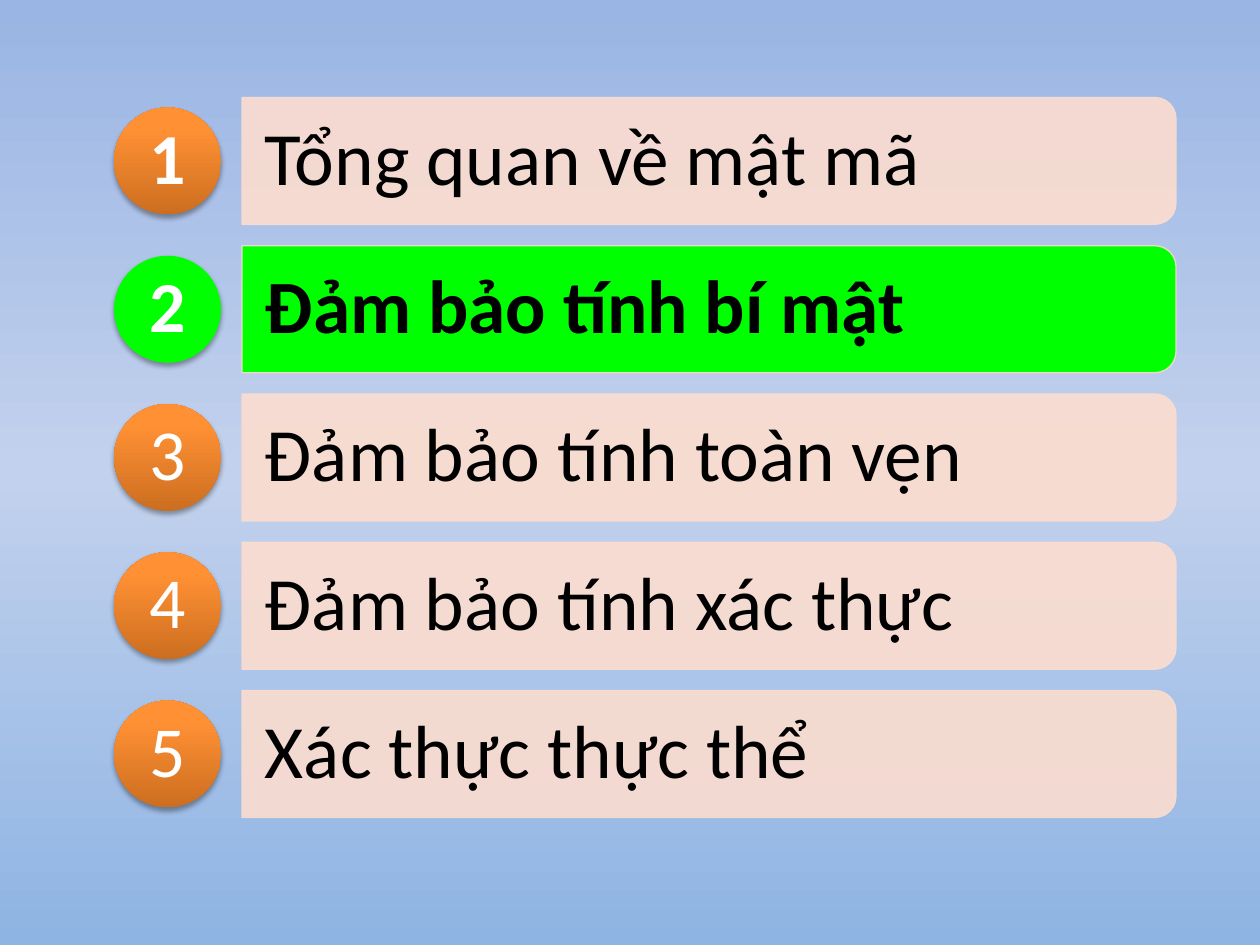
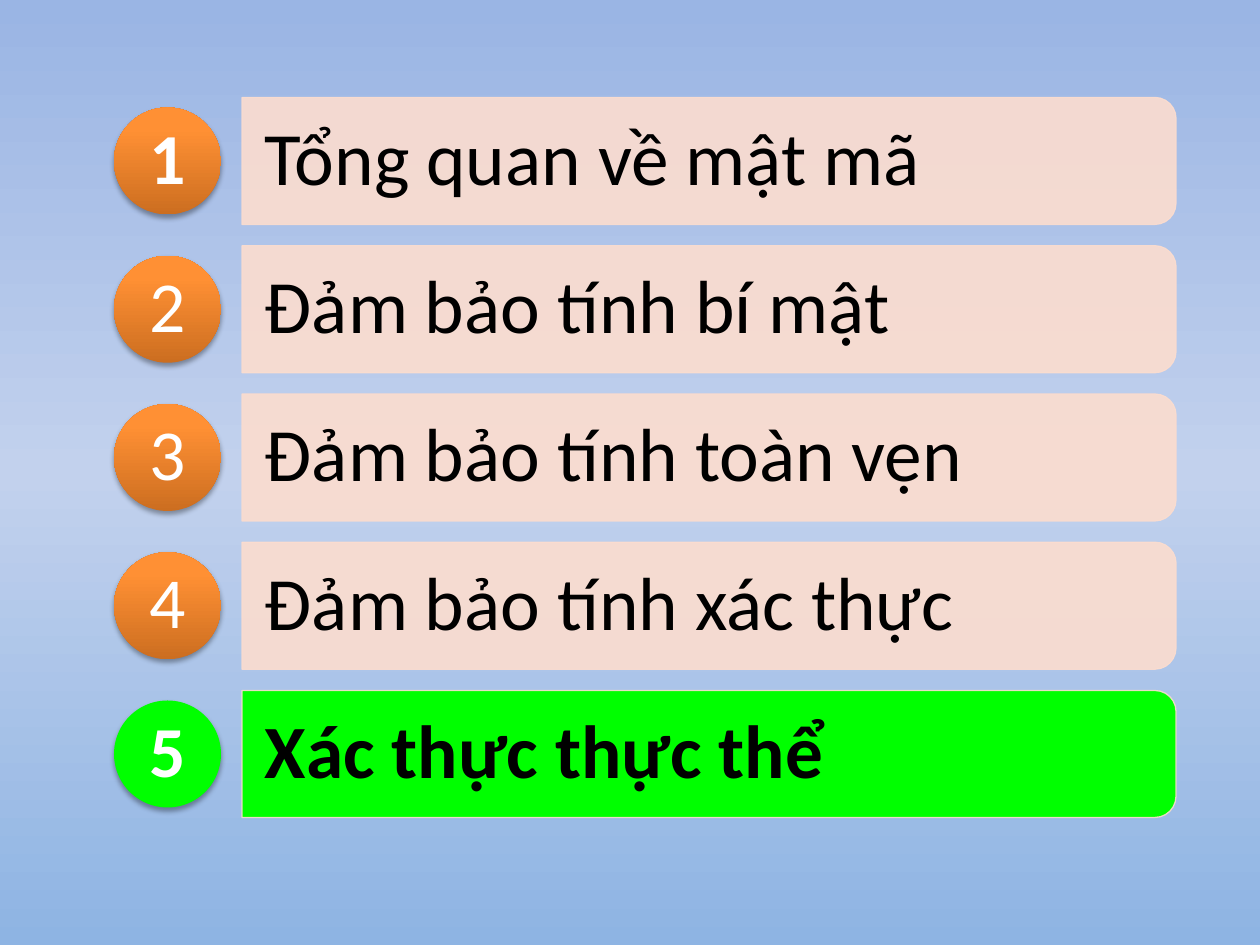
from lxml import etree
from pptx import Presentation
from pptx import util as u
from pptx.dml.color import RGBColor
from pptx.enum import shapes, text
from pptx.oxml import ns

PX = u.Inches(1) / 126

SKY_STOPS = ((0, RGBColor(0x9A, 0xB5, 0xE4)), (50, RGBColor(0xC2, 0xD1, 0xED)),
             (100, RGBColor(0x8E, 0xB4, 0xE3)))
ORANGE_STOPS = ((0, RGBColor(0xCC, 0x6E, 0x20)), (80, RGBColor(0xFF, 0x90, 0x34)),
                (100, RGBColor(0xFF, 0x91, 0x36)))
PEACH = RGBColor(0xFC, 0xDD, 0xCF)
GREEN = RGBColor(0x00, 0xFF, 0x00)
BLACK = RGBColor(0x00, 0x00, 0x00)
WHITE = RGBColor(0xFF, 0xFF, 0xFF)

TOPICS = ("Tổng quan về mật mã", "Đảm bảo tính bí mật", "Đảm bảo tính toàn vẹn",
          "Đảm bảo tính xác thực", "Xác thực thực thể")
CURRENT_TOPICS = (2, 5)

FIRST_MIDDLE, LAST_MIDDLE = 161, 754
BAR_LEFT, BAR_WIDTH, BAR_HEIGHT = 242, 934, 127
BADGE_LEFT, BADGE_SIZE = 114, 107


def px(length):
    return u.Emu(round(length * PX))


def add_node(parent, tag, **attributes):
    node = etree.SubElement(parent, ns.qn(tag))
    for name, value in attributes.items():
        node.set(name, str(value))
    return node


def paint_gradient(fill, owner, stops, angle):
    """Fill with any number of (percent, colour) stops; angle runs anticlockwise."""
    fill.gradient()
    fill.gradient_angle = angle
    stop_list = next(owner.iter(ns.qn("a:gsLst")))
    for stop in list(stop_list):
        stop_list.remove(stop)
    for percent, color in stops:
        stop = add_node(stop_list, "a:gs", pos=percent * 1000)
        add_node(stop, "a:srgbClr", val=color)


def write(frame, words, size, color, bold=False, align=text.PP_ALIGN.LEFT, margins=(0, 0)):
    """Put one vertically centred paragraph in a frame; margins are (side, end) px."""
    frame.word_wrap = True
    frame.vertical_anchor = text.MSO_ANCHOR.MIDDLE
    frame.margin_left = frame.margin_right = px(margins[0])
    frame.margin_top = frame.margin_bottom = px(margins[1])
    para = frame.paragraphs[0]
    para.alignment = align
    para.line_spacing = 0.9
    span = para.add_run()
    span.text = words
    span.font.name = "Calibri"
    span.font.size = u.Pt(size)
    span.font.bold = bold
    span.font.color.rgb = color


class Agenda:
    def __init__(self):
        self.deck = Presentation()
        self.deck.slide_width = px(1260)
        self.deck.slide_height = px(945)
        self.page = None

    def add_page(self):
        self.page = self.deck.slides.add_slide(self.deck.slide_layouts[6])
        paint_gradient(self.page.background.fill, self.page.element, SKY_STOPS, 270)

    def add_shape(self, kind, left, top, width, height):
        shape = self.page.shapes.add_shape(kind, px(left), px(top), px(width), px(height))
        shape.shadow.inherit = False
        return shape

    def add_bar(self, middle, current):
        """Draw an upright shape turned a quarter, so its round corners face right."""
        center = BAR_LEFT + BAR_WIDTH / 2
        bar = self.add_shape(shapes.MSO_SHAPE.ROUND_2_SAME_RECTANGLE,
                             center - BAR_HEIGHT / 2, middle - BAR_WIDTH / 2,
                             BAR_HEIGHT, BAR_WIDTH)
        bar.rotation = 90
        bar.fill.solid()
        bar.fill.fore_color.rgb = GREEN if current else PEACH
        bar.line.color.rgb = PEACH
        bar.line.width = u.Pt(0.75)
        for color in bar.element.spPr.iter(ns.qn("a:srgbClr")):
            if color.get("val") == str(PEACH):
                add_node(color, "a:alpha", val=90000)

    def add_topic(self, middle, words, current):
        height = 115
        box = self.page.shapes.add_textbox(px(BAR_LEFT), px(middle - height / 2),
                                           px(927), px(height))
        write(box.text_frame, words, 43, BLACK, bold=current, margins=(23, 15))

    def add_badge(self, middle, number, current):
        badge = self.add_shape(shapes.MSO_SHAPE.OVAL, BADGE_LEFT, middle - BADGE_SIZE / 2,
                               BADGE_SIZE, BADGE_SIZE)
        badge.line.fill.background()
        if current:
            badge.fill.solid()
            badge.fill.fore_color.rgb = GREEN
        else:
            paint_gradient(badge.fill, badge.element, ORANGE_STOPS, 90)
        effects = badge.element.spPr.find(ns.qn("a:effectLst"))
        shadow = add_node(effects, "a:outerShdw", blurRad=u.Pt(3.1), dist=u.Pt(1.8),
                          dir=5400000, rotWithShape=0)
        add_node(add_node(shadow, "a:srgbClr", val=BLACK), "a:alpha", val=35000)
        write(badge.text_frame, str(number), 41, WHITE, bold=current or number == 1,
              align=text.PP_ALIGN.CENTER)


def main():
    agenda = Agenda()
    pitch = (LAST_MIDDLE - FIRST_MIDDLE) / (len(TOPICS) - 1)
    for current_topic in CURRENT_TOPICS:
        agenda.add_page()
        for number, topic in enumerate(TOPICS, start=1):
            middle = FIRST_MIDDLE + (number - 1) * pitch
            current = number == current_topic
            agenda.add_bar(middle, current)
            agenda.add_topic(middle, topic, current)
            agenda.add_badge(middle, number, current)
    agenda.deck.save("out.pptx")


if __name__ == "__main__":
    main()
